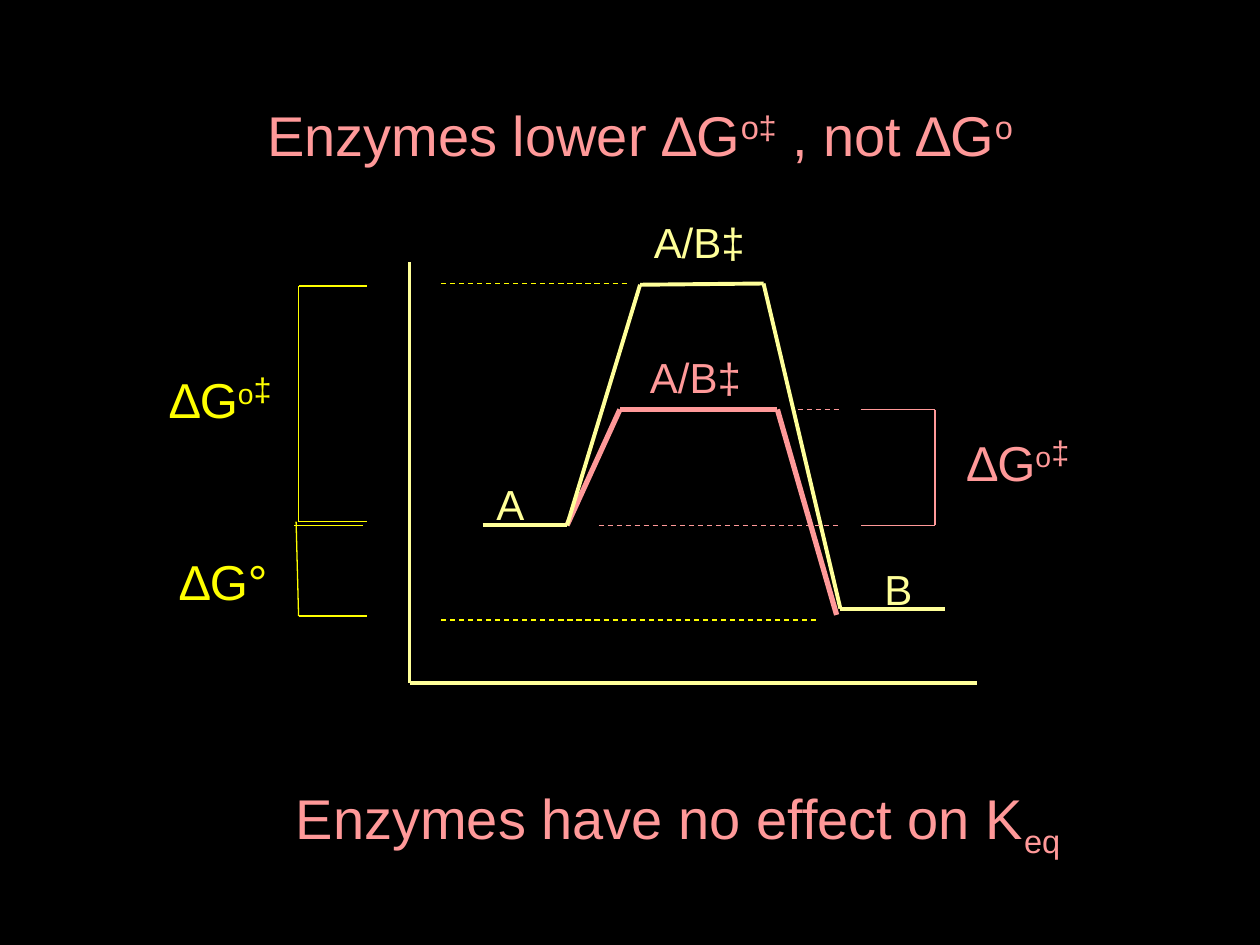
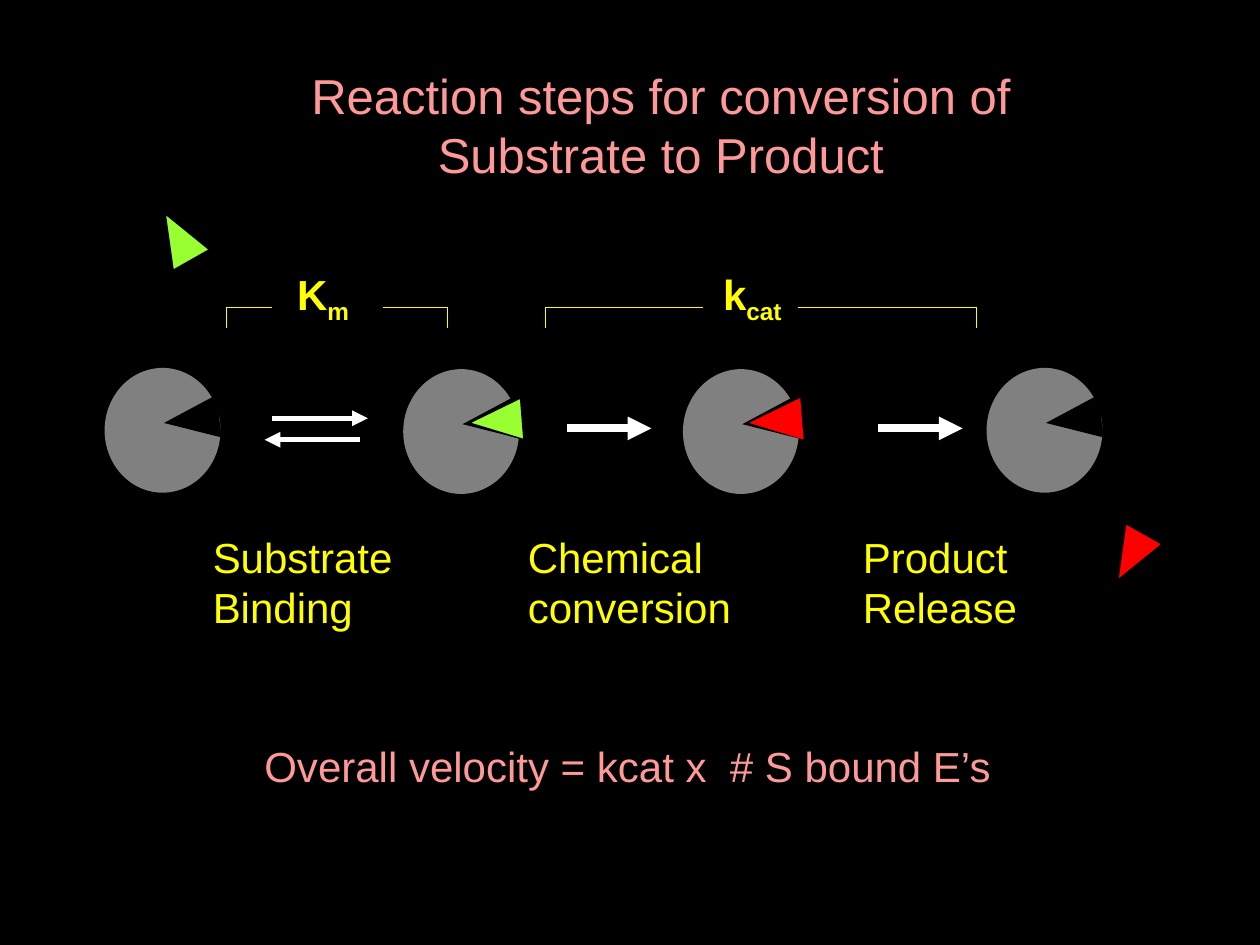
"""Build two slides on enzyme energetics and the steps of an enzyme reaction."""
from dataclasses import dataclass
from itertools import pairwise

from lxml.etree import SubElement
from pptx import Presentation
from pptx.dml.color import RGBColor as RGB
from pptx.enum.dml import MSO_LINE_DASH_STYLE as DASH
from pptx.enum.shapes import MSO_CONNECTOR as CONNECTOR, MSO_SHAPE as SHAPE
from pptx.enum.text import MSO_ANCHOR as ANCHOR, MSO_AUTO_SIZE as AUTO_SIZE, PP_ALIGN as ALIGN
from pptx.oxml.ns import qn
from pptx.util import Inches, Pt


@dataclass(frozen=True)
class Theme:
    font: str = "Arial"
    black: RGB = RGB(0x00, 0x00, 0x00)
    white: RGB = RGB(0xFF, 0xFF, 0xFF)
    pink: RGB = RGB(0xFF, 0x99, 0x99)
    yellow: RGB = RGB(0xFF, 0xFF, 0x00)
    cream: RGB = RGB(0xFF, 0xFF, 0x99)
    gray: RGB = RGB(0x80, 0x80, 0x80)
    green: RGB = RGB(0x99, 0xFF, 0x33)
    red: RGB = RGB(0xFF, 0x00, 0x00)
    headline: int = 32
    symbol: int = 28
    label: int = 24
    superscript: int = 30
    subscript: int = -25
    thin: float = 0.75
    curve: float = 2.25
    bold: float = 3


THEME = Theme()


def write_text(shape, box, lines, color, size, bold=False, align=ALIGN.LEFT):
    """Place a text shape and fill it with lines of (text, baseline, size) runs."""
    shape.left, shape.top, shape.width, shape.height = map(Inches, box)
    frame = shape.text_frame
    frame.word_wrap = False
    frame.auto_size = AUTO_SIZE.NONE
    frame.vertical_anchor = ANCHOR.TOP
    for index, runs in enumerate(lines):
        paragraph = frame.add_paragraph() if index else frame.paragraphs[0]
        paragraph.alignment = align
        for text, baseline, run_size in runs:
            run = paragraph.add_run()
            run.text = text
            run.font.name = THEME.font
            run.font.size = Pt(run_size or size)
            run.font.bold = bold
            run.font.color.rgb = color
            if baseline:
                run.font._element.set("baseline", str(baseline * 1000))


def draw_path(slide, points, color, width, dashed=False, arrow=False):
    """Draw straight connectors through the points in turn."""
    for start, end in pairwise(points):
        connector = slide.shapes.add_connector(CONNECTOR.STRAIGHT, *map(Inches, start + end))
        connector.line.color.rgb = color
        connector.line.width = Pt(width)
        if dashed:
            connector.line.dash_style = DASH.DASH
        if arrow:
            SubElement(connector.line._get_or_add_ln(), qn("a:tailEnd"), type="triangle")
        SubElement(connector._element.spPr, qn("a:effectLst"))


presentation = Presentation()
presentation.slide_width, presentation.slide_height = Inches(10), Inches(7.5)
background = presentation.slide_master.background.fill
background.solid()
background.fore_color.rgb = THEME.black
title_only = presentation.slide_layouts[5]

slide = presentation.slides.add_slide(title_only)
title_runs = [
    ("Enzymes lower ∆G", 0, None),
    ("o‡", THEME.superscript, None),
    (" , not ∆G", 0, None),
    ("o", THEME.superscript, None),
]
write_text(slide.shapes.title, (2.02, 0.75, 6.12, 0.64), [title_runs], THEME.pink, THEME.headline)

paths = [
    ([(2.91, 2.27), (2.37, 2.27), (2.37, 4.14), (2.91, 4.14)], THEME.yellow, THEME.thin),
    ([(2.88, 4.17), (2.33, 4.17)], THEME.yellow, THEME.thin),
    ([(2.35, 4.14), (2.37, 4.89), (2.91, 4.89)], THEME.yellow, THEME.thin),
    ([(4.5, 4.17), (4.92, 3.25), (6.17, 3.25), (6.64, 4.88)], THEME.pink, THEME.bold),
    ([(6.83, 3.25), (7.42, 3.25), (7.42, 4.17), (6.83, 4.17)], THEME.pink, 1),
    ([(3.25, 2.08), (3.25, 5.42), (7.75, 5.42)], THEME.cream, THEME.curve),
    ([(3.83, 4.17), (4.5, 4.17), (5.08, 2.26), (6.06, 2.25), (6.67, 4.83), (7.5, 4.83)],
     THEME.cream, THEME.curve),
]
for points, color, width in paths:
    draw_path(slide, points, color, width)

energy_levels = [
    (3.5, 6.5, 4.92, THEME.yellow),
    (3.5, 5, 2.25, THEME.yellow),
    (4.75, 6.67, 4.17, THEME.pink),
    (6.33, 6.67, 3.25, THEME.pink),
]
for left, right, level, color in energy_levels:
    draw_path(slide, [(left, level), (right, level)], color, THEME.thin, dashed=True)

activation_energy = [
    ("∆G", 0, None),
    ("o", THEME.superscript, None),
    ("‡", THEME.superscript, THEME.headline),
]
keq_runs = [("Enzymes have no effect on K", 0, None), ("eq", THEME.subscript, None)]
labels = [
    ((1.25, 2.83, 1.25, 0.64), activation_energy, THEME.yellow, THEME.symbol),
    ((7.58, 3.33, 1.25, 0.64), activation_energy, THEME.pink, THEME.symbol),
    ((1.33, 4.33, 0.92, 0.57), [("∆G°", 0, None)], THEME.yellow, THEME.symbol),
    ((3.84, 3.75, 0.42, 0.5), [("A", 0, None)], THEME.cream, THEME.label),
    ((6.92, 4.42, 0.42, 0.5), [("B", 0, None)], THEME.cream, THEME.label),
    ((5.09, 1.67, 0.92, 0.5), [("A/B‡", 0, None)], THEME.cream, THEME.label),
    ((5.06, 2.74, 0.92, 0.5), [("A/B‡", 0, None)], THEME.pink, THEME.label),
    ((2.25, 6.17, 6.26, 0.71), keq_runs, THEME.pink, THEME.headline),
]
for box, runs, color, size in labels:
    write_text(slide.shapes.add_textbox(0, 0, 0, 0), box, [runs], color, size)

slide = presentation.slides.add_slide(title_only)
title_lines = [
    [("Reaction steps for conversion of ", 0, None)],
    [("Substrate to Product", 0, None)],
]
write_text(slide.shapes.title, (2.32, 0.47, 5.85, 1.04), title_lines,
           THEME.pink, THEME.symbol, align=ALIGN.CENTER)

pieces = []
for left, top, ligand in [(0.83, 2.92, None), (3.2, 2.93, THEME.green),
                          (5.42, 2.93, THEME.red), (7.83, 2.92, None)]:
    pieces.append((SHAPE.OVAL, (left, top, 0.92, 0.99), 0, THEME.gray, False))
    pieces.append((SHAPE.ISOSCELES_TRIANGLE, (left + 0.52, top + 0.19, 0.34, 0.44), 263,
                   THEME.black, False))
    if ligand:
        pieces.append((SHAPE.ISOSCELES_TRIANGLE, (left + 0.57, top + 0.2, 0.33, 0.42), 265.5,
                       ligand, ligand == THEME.green))
for left, top, rotation, color in [(8.81, 4.21, 209.5, THEME.red), (1.25, 1.67, 330.5, THEME.green)]:
    pieces.append((SHAPE.ISOSCELES_TRIANGLE, (left, top, 0.33, 0.42), rotation, color, True))
for kind, box, rotation, color, outlined in pieces:
    shape = slide.shapes.add_shape(kind, *map(Inches, box))
    shape.shadow.inherit = False
    shape.rotation = rotation
    shape.fill.solid()
    shape.fill.fore_color.rgb = color
    if outlined:
        shape.line.color.rgb = THEME.black
        shape.line.width = Pt(THEME.thin)
    else:
        shape.line.fill.background()

for start, end, level, width in [(4.5, 5.17, 3.4, 4.5), (6.97, 7.64, 3.4, 4.5),
                                 (2.16, 2.92, 3.32, THEME.bold), (2.86, 2.1, 3.49, THEME.bold)]:
    draw_path(slide, [(start, level), (end, level)], THEME.white, width, arrow=True)

steps = [
    (1.59, 1.62, "Substrate", "Binding"),
    (4.09, 1.81, "Chemical", "conversion"),
    (6.75, 1.42, "Product", "Release"),
]
for left, width, *words in steps:
    write_text(slide.shapes.add_textbox(0, 0, 0, 0), (left, 4.17, width, 0.9),
               [[(word, 0, None)] for word in words], THEME.yellow, THEME.label)

constants = [
    ("K", "m", 2.26, 0.61, (1.8, 2.16, 3.04, 3.55)),
    ("k", "cat", 5.64, 0.66, (4.33, 5.58, 6.33, 7.75)),
]
for letter, index, left, width, (outer_left, inner_left, inner_right, outer_right) in constants:
    write_text(slide.shapes.add_textbox(0, 0, 0, 0), (left, 2.08, width, 0.56),
               [[(letter, 0, None), (index, THEME.subscript, None)]],
               THEME.yellow, THEME.label, bold=True)
    for outer, inner in [(outer_left, inner_left), (outer_right, inner_right)]:
        draw_path(slide, [(inner, 2.44), (outer, 2.44), (outer, 2.6)], THEME.yellow, THEME.thin)

write_text(slide.shapes.add_textbox(0, 0, 0, 0), (2, 5.83, 5.97, 0.5),
           [[("Overall velocity = kcat x  # S bound E’s", 0, None)]], THEME.pink, THEME.label)

presentation.save("out.pptx")
